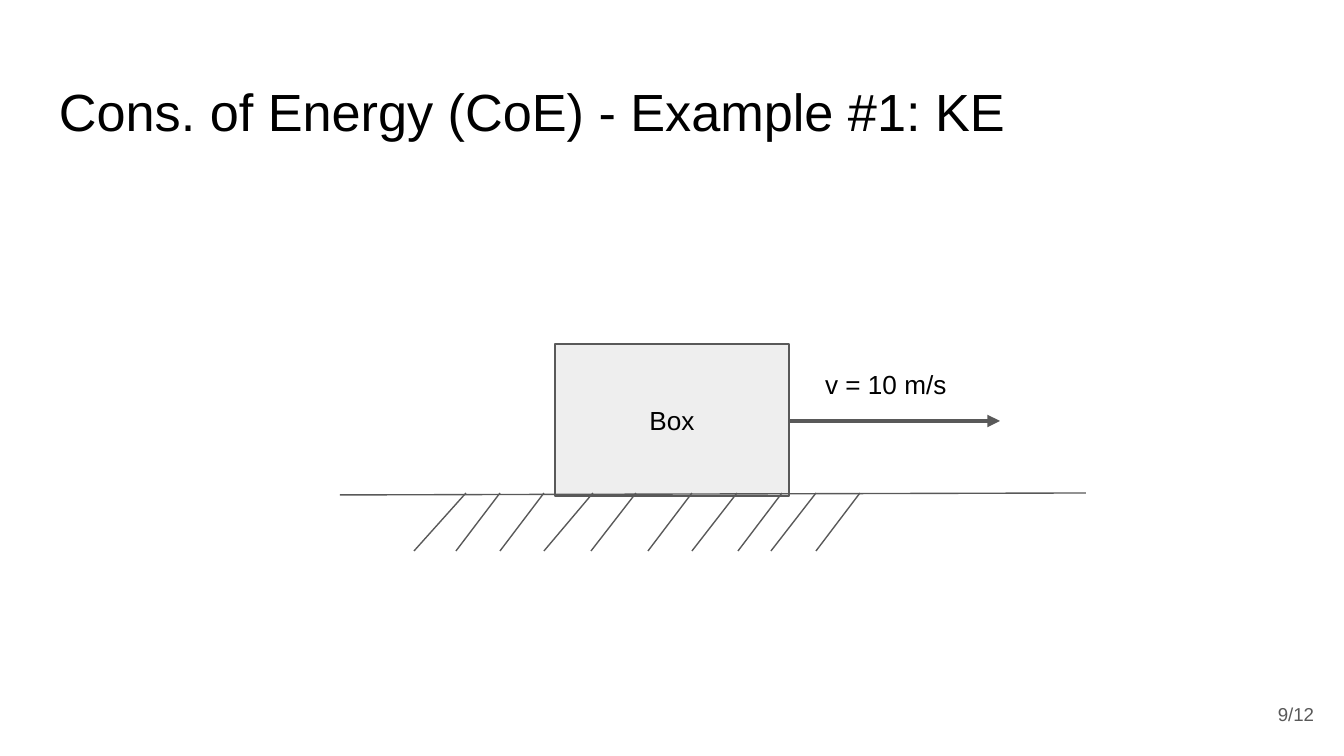
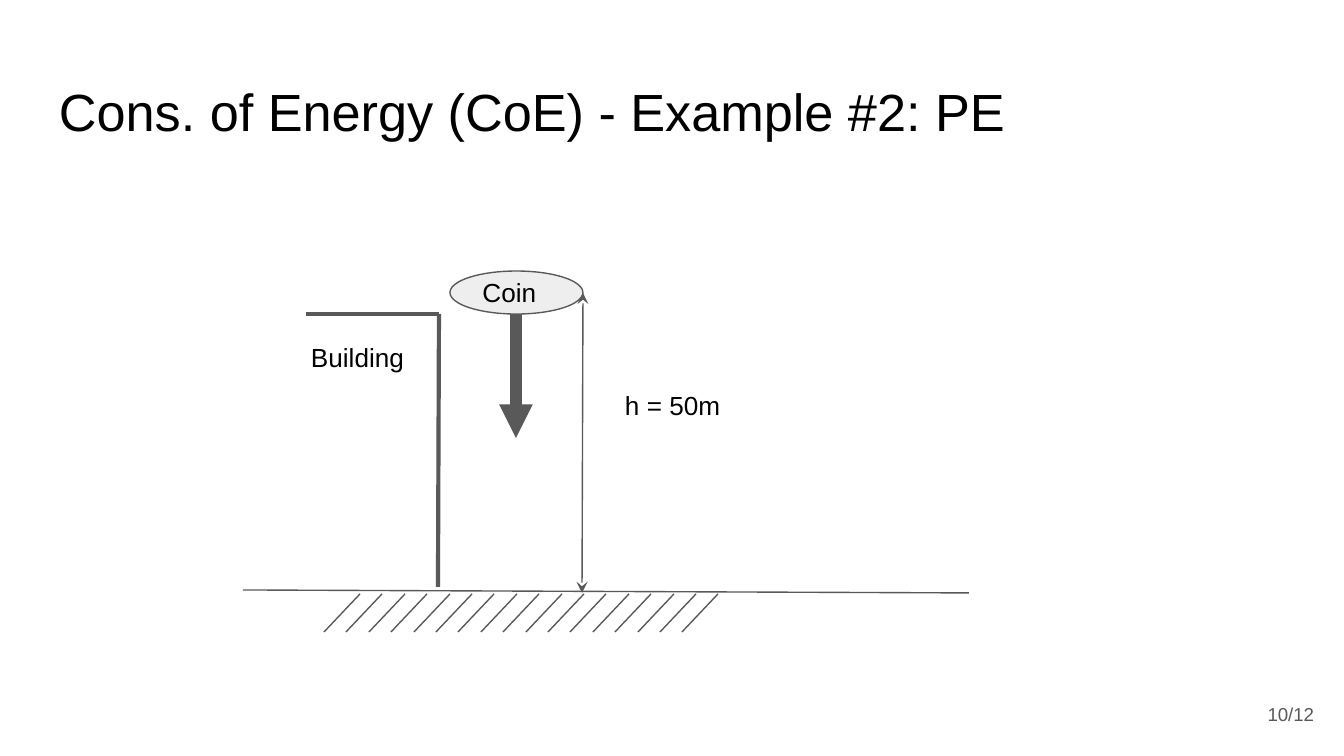
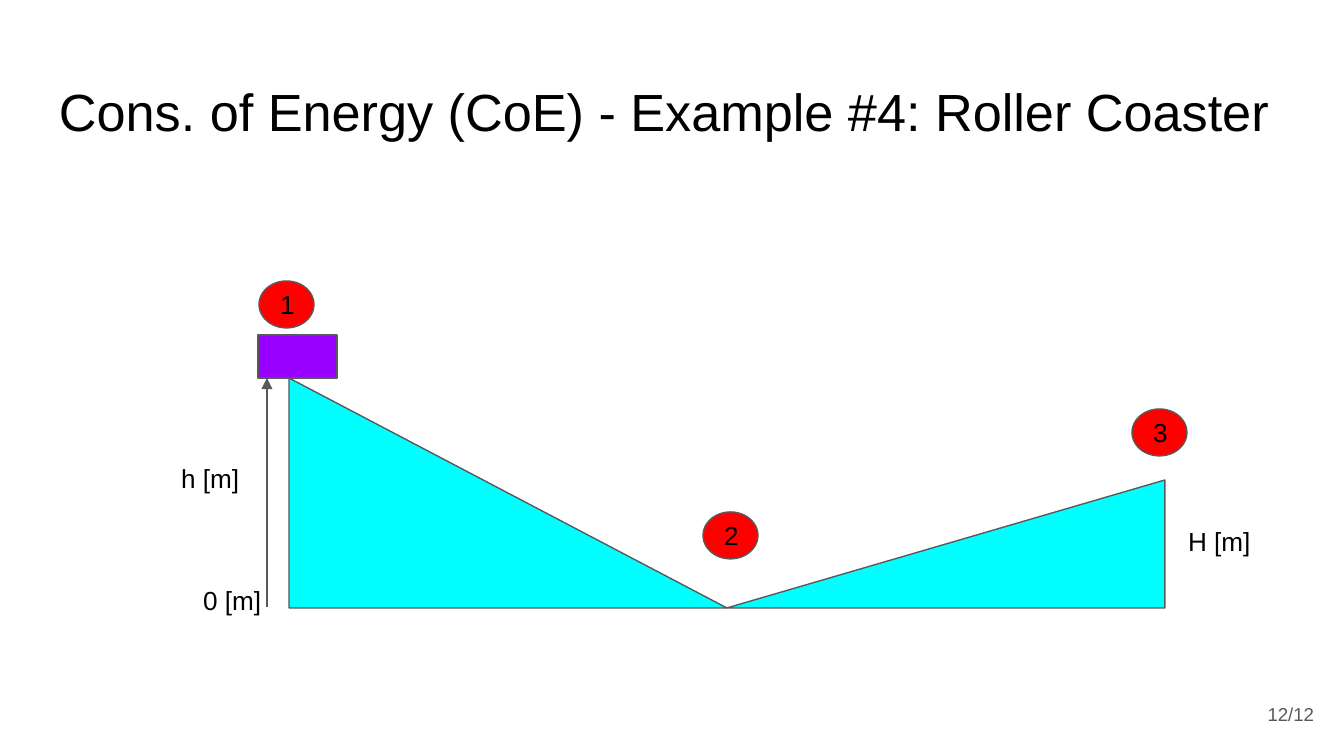
from lxml.etree import SubElement
from pptx import Presentation
from pptx.dml.color import RGBColor
from pptx.enum.shapes import MSO_CONNECTOR, MSO_SHAPE
from pptx.enum.text import MSO_ANCHOR, PP_ALIGN
from pptx.oxml.ns import qn
from pptx.util import Pt

PX = 914400 / 134.4
WIDTH, HEIGHT = 1344, 756
FONT = "Arial"
COLORS = {
    "text": "000000",
    "gray": "595959",
    "light": "EEEEEE",
    "cyan": "00FFFF",
    "red": "FF0000",
    "purple": "9900FF",
}
TITLE_AREA = (46, 66, 1253, 85)
NUMBER_AREA = (1246, 685, 81, 58)
INSET = 13
THIN, THICK, HEAVY = 0.75, 2.25, 6
PAGE_COUNT = 12

BOX_AREA = (555, 344, 234, 152)
BOX_HATCHES = [
    (466, 414), (500, 456), (544, 500), (593, 544), (636, 591),
    (692, 648), (737, 692), (782, 738), (816, 771), (860, 816),
]
COIN_HATCHES = [(round(360 + 22.4 * i), round(324 + 22.4 * i)) for i in range(17)]
STOPS = [("1", 259, 281), ("2", 703, 512), ("3", 1132, 409)]
HEIGHT_LABELS = [("h [m]", 168, 449), ("H [m]", 1175, 512), ("0 [m]", 190, 571)]


def emu(pixels):
    return round(pixels * PX)


def color(name):
    return RGBColor.from_string(COLORS[name])


def write(shape, text, size=14, ink="text", align=PP_ALIGN.LEFT, anchor=MSO_ANCHOR.TOP):
    frame = shape.text_frame
    frame.word_wrap = True
    frame.margin_left = frame.margin_right = emu(INSET)
    frame.margin_top = frame.margin_bottom = emu(INSET)
    frame.vertical_anchor = anchor
    frame.text = text
    paragraph = frame.paragraphs[0]
    paragraph.alignment = align
    for run in paragraph.runs:
        run.font.name = FONT
        run.font.size = Pt(size)
        run.font.color.rgb = color(ink)


def add_label(slide, area, text, **style):
    write(slide.shapes.add_textbox(*map(emu, area)), text, **style)


def add_figure(slide, kind, area, fill, text="", align=PP_ALIGN.LEFT):
    shape = slide.shapes.add_shape(kind, *map(emu, area))
    shape.shadow.inherit = False
    shape.fill.solid()
    shape.fill.fore_color.rgb = color(fill)
    shape.line.color.rgb = color("gray")
    shape.line.width = Pt(THIN)
    if text:
        write(shape, text, align=align, anchor=MSO_ANCHOR.MIDDLE)
    return shape


def add_line(slide, start, end, width=THIN, head=None, tail=None):
    line = slide.shapes.add_connector(MSO_CONNECTOR.STRAIGHT, *map(emu, start + end))
    line.line.color.rgb = color("gray")
    line.line.width = Pt(width)
    properties = line._element.spPr
    outline = properties.find(qn("a:ln"))
    for tag, arrow in (("a:headEnd", head), ("a:tailEnd", tail)):
        if arrow:
            SubElement(outline, qn(tag), type=arrow)
    SubElement(properties, qn("a:effectLst"))


def add_hatches(slide, hatches, top, bottom):
    for top_x, bottom_x in hatches:
        add_line(slide, (top_x, top), (bottom_x, bottom))


def draw_sliding_box(slide):
    add_figure(slide, MSO_SHAPE.RECTANGLE, BOX_AREA, "light", "Box", PP_ALIGN.CENTER)
    add_line(slide, (789, 421), (1000, 421), THICK, tail="triangle")
    add_label(slide, (812, 355, 188, 47), "v = 10 m/s")
    add_line(slide, (340, 495), (1086, 493))
    add_hatches(slide, BOX_HATCHES, 493, 551)


def draw_falling_coin(slide):
    add_line(slide, (306, 314), (439, 314), THICK)
    add_line(slide, (439, 314), (438, 587), THICK)
    add_line(slide, (243, 590), (969, 593))
    add_hatches(slide, COIN_HATCHES, 594, 632)
    add_label(slide, (298, 328, 133, 59), "Building")
    add_figure(slide, MSO_SHAPE.OVAL, (450, 271, 133, 43), "light", "Coin")
    add_line(slide, (516, 314), (516, 438), HEAVY, tail="triangle")
    add_line(slide, (583, 293), (582, 593), head="stealth", tail="stealth")
    add_label(slide, (612, 376, 133, 59), "h = 50m")


def draw_roller_coaster(slide):
    add_figure(slide, MSO_SHAPE.RIGHT_TRIANGLE, (289, 378, 438, 230), "cyan")
    rise = add_figure(slide, MSO_SHAPE.RIGHT_TRIANGLE, (727, 480, 438, 128), "cyan")
    rise._element.spPr.find(qn("a:xfrm")).set("flipH", "1")
    for text, left, top in STOPS:
        add_figure(slide, MSO_SHAPE.OVAL, (left, top, 55, 47), "red", text)
    add_line(slide, (267, 607), (267, 378), tail="triangle")
    for text, left, top in HEIGHT_LABELS:
        add_label(slide, (left, top, 99, 63), text)
    add_figure(slide, MSO_SHAPE.RECTANGLE, (258, 335, 79, 43), "purple")


SLIDES = [
    (9, "#1: KE", draw_sliding_box),
    (10, "#2: PE", draw_falling_coin),
    (12, "#4: Roller Coaster", draw_roller_coaster),
]


def main():
    presentation = Presentation()
    presentation.slide_width = emu(WIDTH)
    presentation.slide_height = emu(HEIGHT)
    for number, example, draw in SLIDES:
        slide = presentation.slides.add_slide(presentation.slide_layouts[6])
        add_label(slide, TITLE_AREA, f"Cons. of Energy (CoE) - Example {example}", size=28)
        draw(slide)
        add_label(slide, NUMBER_AREA, f"{number}/{PAGE_COUNT}", size=10, ink="gray",
                  align=PP_ALIGN.RIGHT, anchor=MSO_ANCHOR.MIDDLE)
    presentation.save("out.pptx")


if __name__ == "__main__":
    main()
